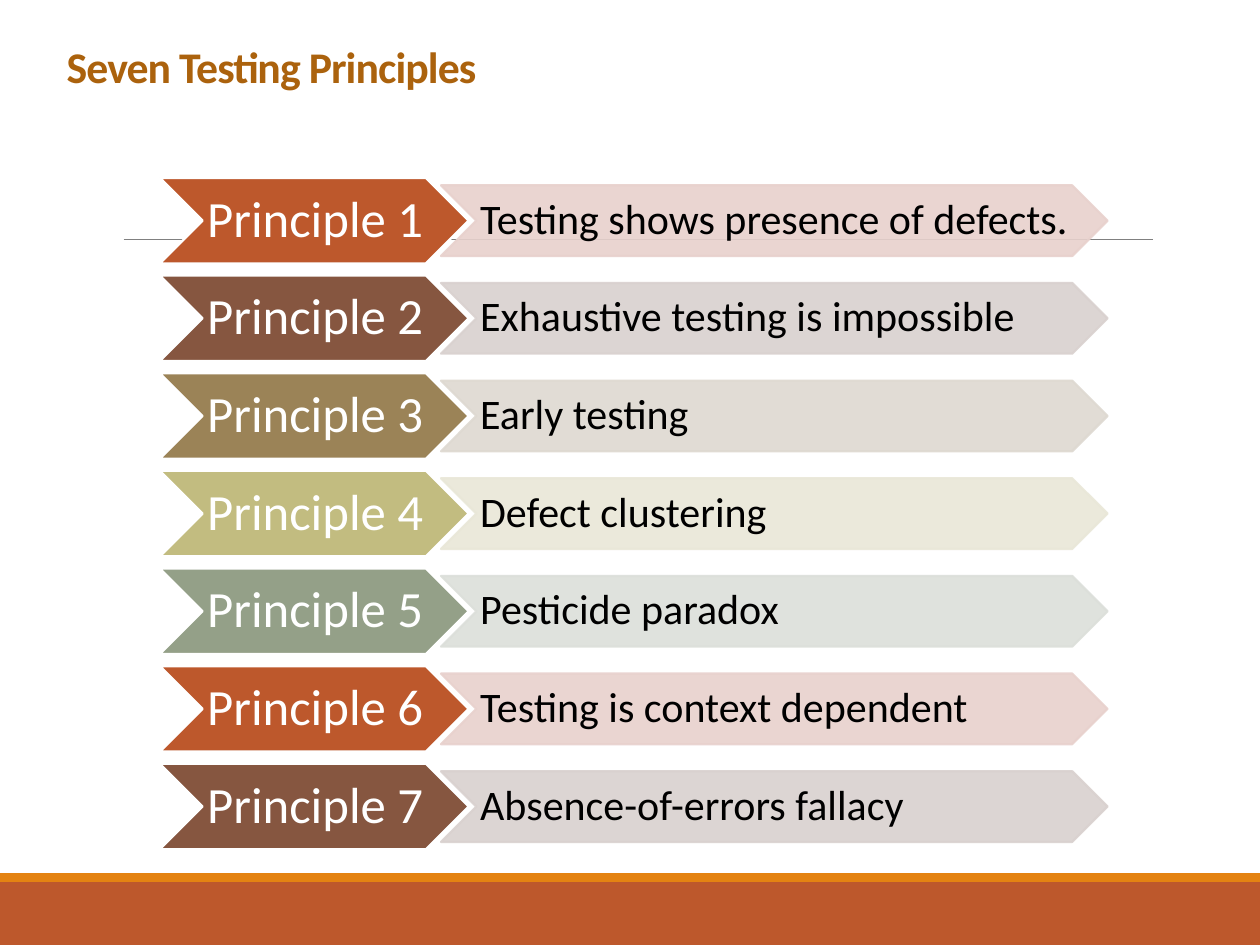
"""Build a slide listing the seven testing principles as paired chevrons."""
from lxml import etree
from pptx import Presentation
from pptx.dml import color
from pptx.enum import shapes, text
from pptx.oxml import ns
from pptx.util import Pt

TITLE = "Seven Testing Principles"
PRINCIPLES = [
    "Testing shows presence of defects.",
    "Exhaustive testing is impossible",
    "Early testing",
    "Defect clustering",
    "Pesticide paradox",
    "Testing is context dependent",
    "Absence-of-errors fallacy",
]
PALETTE = [
    ("BD582C", "E8D1CD"),
    ("865640", "D9D1CF"),
    ("9B8357", "DED9D1"),
    ("C2BC80", "E9E7D8"),
    ("94A088", "DCDFDA"),
]
BANDS = [(504, 36, "BD582C"), (499, 5, "E48312")]
WIDTH, HEIGHT = 720, 540
FIRST_TOP, PITCH = 101.7, 55.8
LABEL = {"left": 91.4, "width": 176.4, "height": 48.8}
DETAIL = {"left": 252, "width": 380.9, "height": 40.4}
LABEL_FONT = {"name": "Calibri", "size": Pt(29), "bold": False}
DETAIL_FONT = {"name": "Calibri", "size": Pt(24), "bold": False}
TITLE_FONT = {"name": "Calibri", "size": Pt(25), "bold": True}


def rgb(value):
    return color.RGBColor.from_string(value)


def set_alpha(fill_parent, percent):
    for tint in fill_parent.iter(ns.qn("a:srgbClr")):
        etree.SubElement(tint, ns.qn("a:alpha")).set("val", str(percent * 1000))


def add_filled(page, preset, left, top, width, height, fill):
    shape = page.shapes.add_shape(preset, Pt(left), Pt(top), Pt(width), Pt(height))
    shape.shadow.inherit = False
    shape.fill.solid()
    shape.fill.fore_color.rgb = rgb(fill)
    shape.line.fill.background()
    return shape


def write(shape, words, font, ink, spacing, insets):
    frame = shape.text_frame
    margins = zip(("margin_left", "margin_top", "margin_right", "margin_bottom"), insets)
    settings = {name: Pt(value) for name, value in margins}
    settings.update(word_wrap=True, vertical_anchor=text.MSO_ANCHOR.MIDDLE)
    for name, value in settings.items():
        setattr(frame, name, value)
    para = frame.paragraphs[0]
    para.alignment = text.PP_ALIGN.LEFT
    para.line_spacing = spacing
    span = para.add_run()
    span.text = words
    for name, value in font.items():
        setattr(span.font, name, value)
    span.font.color.rgb = rgb(ink)
    return span


def add_chevron(page, place, middle, fill, edge, words, font, ink, inset):
    shape = add_filled(page, shapes.MSO_SHAPE.CHEVRON, place["left"],
                       middle - place["height"] / 2, place["width"], place["height"], fill)
    shape.line.color.rgb = rgb(edge)
    shape.line.width = Pt(1.25)
    write(shape, words, font, ink, 0.9, (inset, 1.4, 0, 1.4))
    return shape


def add_rule(page):
    rule = page.shapes.add_connector(shapes.MSO_CONNECTOR.STRAIGHT,
                                     Pt(70.6), Pt(136.8), Pt(658.8), Pt(136.8))
    rule.line.color.rgb = rgb("808080")
    rule.line.width = Pt(0.5)
    etree.SubElement(rule.element.spPr, ns.qn("a:effectLst"))


def main():
    deck = Presentation()
    deck.slide_width, deck.slide_height = Pt(WIDTH), Pt(HEIGHT)
    page = deck.slides.add_slide(deck.slide_layouts[6])

    for top, height, fill in BANDS:
        add_filled(page, shapes.MSO_SHAPE.RECTANGLE, 0, top, WIDTH, height, fill)
    add_rule(page)

    for index, principle in enumerate(PRINCIPLES):
        strong, pale = PALETTE[index % len(PALETTE)]
        middle = FIRST_TOP + index * PITCH + LABEL["height"] / 2
        add_chevron(page, LABEL, middle, strong, "FFFFFF",
                    f"Principle {index + 1}", LABEL_FONT, "FFFFFF", 2.6)
        detail = add_chevron(page, DETAIL, middle, pale, pale,
                             principle, DETAIL_FONT, "000000", 2.2)
        set_alpha(detail.element.spPr, 90)

    box = page.shapes.add_textbox(Pt(31), Pt(8.6), Pt(603.4), Pt(62.6))
    span = write(box, TITLE, TITLE_FONT, "AB620D", 0.85, (7.2, 3.6, 7.2, 3.6))
    span.font._element.set("spc", "-50")

    deck.save("out.pptx")


if __name__ == "__main__":
    main()
